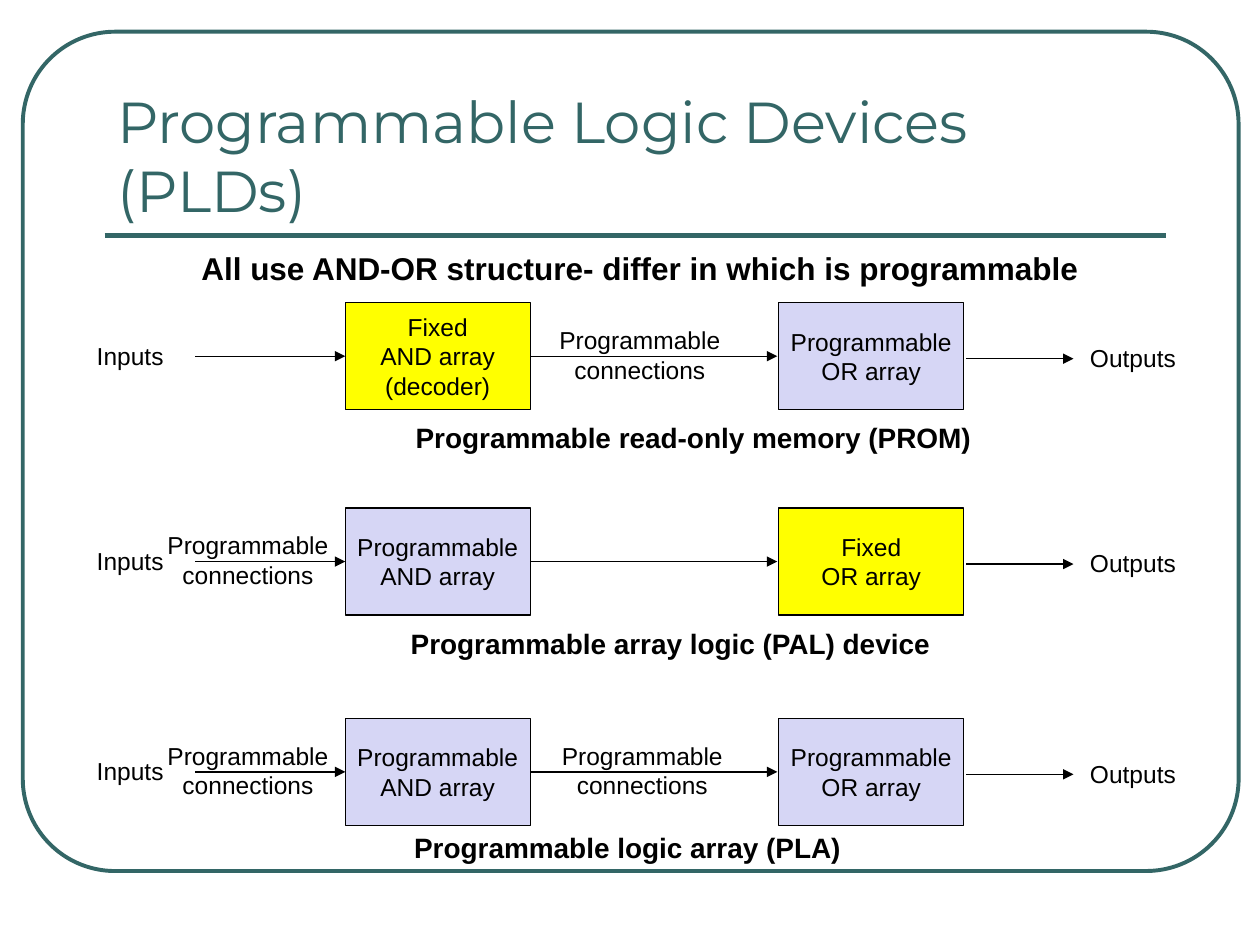
from pptx import Presentation
from pptx.dml.color import RGBColor
from pptx.enum.shapes import MSO_CONNECTOR, MSO_SHAPE
from pptx.enum.text import MSO_ANCHOR, MSO_AUTO_SIZE, PP_ALIGN
from pptx.oxml.ns import qn
from pptx.util import Cm, Pt
from lxml import etree

STRAIGHT = MSO_CONNECTOR.STRAIGHT
RECT, ROUND_RECT = MSO_SHAPE.RECTANGLE, MSO_SHAPE.ROUNDED_RECTANGLE
TOP, MIDDLE, BOTTOM = MSO_ANCHOR.TOP, MSO_ANCHOR.MIDDLE, MSO_ANCHOR.BOTTOM
LEFT, CENTER = PP_ALIGN.LEFT, PP_ALIGN.CENTER
NO_FIT = MSO_AUTO_SIZE.NONE

TEAL, BLACK = "336666", "000000"
FIXED, PROGRAMMABLE = "FFFF00", "D6D6F5"
BOX_W, BOX_H = 3.73, 2.16
AND_X, OR_X = 6.96, 15.7
LINK = "Programmable\nconnections"

DEVICES = [
    (6.1, ("Fixed\nAND array\n(decoder)", FIXED),
     ("Programmable\nOR array", PROGRAMMABLE), [11.02],
     ("Programmable read-only memory (PROM)", 8.13, 2.26, 11.71)),
    (10.24, ("Programmable\nAND array", PROGRAMMABLE),
     ("Fixed\nOR array", FIXED), [3.12],
     ("Programmable array logic (PAL) device", 8.03, 2.26, 11.02)),
    (14.48, ("Programmable\nAND array", PROGRAMMABLE),
     ("Programmable\nOR array", PROGRAMMABLE), [3.12, 11.07],
     ("Programmable logic array (PLA)", 8.1, 2.13, 9.12)),
]


def rgb(value):
    return RGBColor.from_string(value)


def write(sp, text, size, align=CENTER, anchor=TOP, bold=False,
          font="Arial", color=BLACK, wrap=False):
    tf = sp.text_frame
    tf.text = text
    tf.word_wrap = wrap
    tf.auto_size = NO_FIT
    tf.vertical_anchor = anchor
    for p in tf.paragraphs:
        p.alignment = align
        for r in p.runs:
            r.font.name = font
            r.font.size = Pt(size)
            r.font.bold = bold
            r.font.color.rgb = rgb(color)


def add_title(s, text):
    sp = s.shapes.title
    sp.left, sp.top, sp.width, sp.height = Cm(2.11), Cm(1.47), Cm(21.36), Cm(3.18)
    write(sp, text, 33, LEFT, BOTTOM, font="Montserrat", color=TEAL, wrap=True)


def add_label(s, text, x, y, w, h, size=14, **style):
    sp = s.shapes.add_textbox(Cm(x), Cm(y), Cm(w), Cm(h))
    write(sp, text, size, **style)


def add_frame(s):
    sp = s.shapes.add_shape(ROUND_RECT, Cm(0.46), Cm(0.64), Cm(24.51), Cm(16.92))
    sp.adjustments[0] = 0.11
    sp.shadow.inherit = False
    sp.fill.background()
    sp.line.color.rgb = rgb(TEAL)
    sp.line.width = Pt(2.25)


def add_array(s, text, fill, x, y):
    sp = s.shapes.add_shape(RECT, Cm(x), Cm(y), Cm(BOX_W), Cm(BOX_H))
    sp.shadow.inherit = False
    sp.fill.solid()
    sp.fill.fore_color.rgb = rgb(fill)
    sp.line.color.rgb = rgb(BLACK)
    sp.line.width = Pt(0.75)
    write(sp, text, 14, anchor=MIDDLE)


def add_line(s, x1, x2, y, color=BLACK, width=0.75, arrow=True):
    line = s.shapes.add_connector(STRAIGHT, Cm(x1), Cm(y), Cm(x2), Cm(y))
    line.line.color.rgb = rgb(color)
    line.line.width = Pt(width)
    if arrow:
        ln = line.line._get_or_add_ln()
        etree.SubElement(ln, qn("a:tailEnd"), type="triangle")
    etree.SubElement(line._element.spPr, qn("a:effectLst"))


def add_device(s, y, and_array, or_array, link_xs, caption):
    add_array(s, *and_array, AND_X, y)
    add_array(s, *or_array, OR_X, y)
    add_line(s, 3.94, AND_X, y + 1.08)
    add_line(s, AND_X + BOX_W, OR_X - 0.03, y + 1.08)
    add_line(s, 19.48, 21.64, y + 1.13)
    add_label(s, "Inputs", 1.7, y + 0.64, 1.85, 0.86)
    add_label(s, "Outputs", 21.72, y + 0.69, 2.24, 0.86)
    for x in link_xs:
        add_label(s, LINK, x, y + 0.33, 3.76, 1.45)
    text, x, dy, w = caption
    add_label(s, text, x, y + dy, w, 0.94, 16, align=LEFT, bold=True)


def main():
    prs = Presentation()
    prs.slide_width, prs.slide_height = Cm(25.4), Cm(19.05)
    s = prs.slides.add_slide(prs.slide_layouts[5])
    add_frame(s)
    add_line(s, 2.11, 23.5, 4.75, TEAL, 3, arrow=False)
    add_title(s, "Programmable Logic Devices (PLDs)")
    add_label(s, "All use AND-OR structure- differ in which is programmable",
              3.81, 4.9, 18.42, 1.02, 18, align=LEFT, bold=True, wrap=True)
    for device in DEVICES:
        add_device(s, *device)
    prs.save("out.pptx")


if __name__ == "__main__":
    main()
